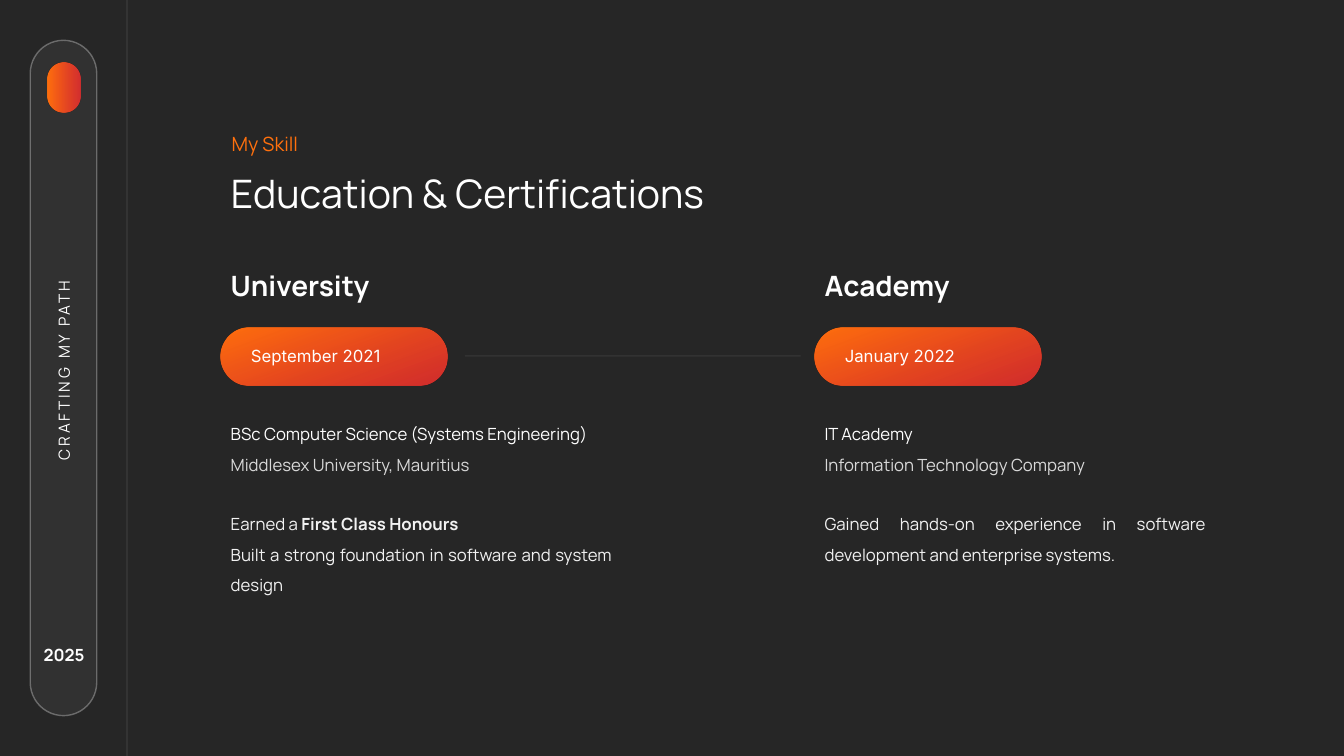
from dataclasses import dataclass

from lxml import etree
from pptx import Presentation
from pptx.dml.color import RGBColor
from pptx.enum.shapes import MSO_CONNECTOR, MSO_SHAPE
from pptx.enum.text import MSO_ANCHOR, MSO_AUTO_SIZE, PP_ALIGN
from pptx.oxml.ns import qn
from pptx.shapes.autoshape import Shape
from pptx.slide import Slide
from pptx.util import Inches, Pt


@dataclass(frozen=True)
class Theme:
    background: str = "262626"
    white: str = "FFFFFF"
    soft: str = "F2F2F2"
    muted: str = "D9D9D9"
    orange: str = "FF700D"
    red: str = "FE2F2E"
    red_opacity: int = 79
    font: str = "Manrope"
    date_font: str = "Inter"
    title_size: int = 28
    heading_size: int = 20
    kicker_size: int = 14
    body_size: int = 12
    motto_size: int = 11


THEME = Theme()


@dataclass(frozen=True)
class Box:
    left: float
    top: float
    width: float
    height: float


@dataclass(frozen=True)
class Style:
    size: int = THEME.body_size
    color: str = THEME.white
    font: str = THEME.font
    bold: bool = False
    align: PP_ALIGN = PP_ALIGN.LEFT
    spacing: float = 1.0
    wrap: bool = True


@dataclass(frozen=True)
class Span:
    text: str
    bold: bool = False


@dataclass(frozen=True)
class Milestone:
    left: float
    heading: str
    date: str
    award: str
    place: str
    details: tuple[tuple[Span, ...], ...]
    details_height: float


KICKER = Style(size=THEME.kicker_size, color=THEME.orange)
TITLE = Style(size=THEME.title_size)
HEADING = Style(size=THEME.heading_size, bold=True)
DATE = Style(font=THEME.date_font)
AWARD = Style(spacing=1.5)
PLACE = Style(color=THEME.muted)
DETAILS = Style(color=THEME.soft, align=PP_ALIGN.JUSTIFY, spacing=1.5)
YEAR = Style(bold=True, align=PP_ALIGN.CENTER, wrap=False)
MOTTO = Style(size=THEME.motto_size, align=PP_ALIGN.CENTER, wrap=False)

MILESTONES = (
    Milestone(
        2.19, "University", "September 2021",
        "BSc Computer Science (Systems Engineering)",
        "Middlesex University, Mauritius",
        (
            (Span("Earned a "), Span("First Class Honours", bold=True)),
            (Span("Built a strong foundation in software and system design"),),
        ),
        0.98,
    ),
    Milestone(
        8.08, "Academy", "January 2022",
        "IT Academy",
        "Information Technology Company",
        ((Span("Gained hands-on experience in software development "
               "and enterprise systems."),),),
        0.68,
    ),
)


def emu(box: Box) -> tuple[int, int, int, int]:
    return (Inches(box.left), Inches(box.top),
            Inches(box.width), Inches(box.height))


def set_opacity(color_element: etree._Element, percent: int) -> None:
    alpha = etree.SubElement(color_element, qn("a:alpha"))
    alpha.set("val", str(percent * 1000))


def write(shape: Shape, paragraphs: tuple[tuple[Span, ...], ...],
          style: Style) -> None:
    frame = shape.text_frame
    frame.word_wrap = style.wrap
    frame.auto_size = MSO_AUTO_SIZE.SHAPE_TO_FIT_TEXT
    frame.vertical_anchor = MSO_ANCHOR.TOP
    for index, spans in enumerate(paragraphs):
        paragraph = frame.add_paragraph() if index else frame.paragraphs[0]
        paragraph.alignment = style.align
        paragraph.line_spacing = style.spacing
        paragraph.font.name = style.font
        paragraph.font.size = Pt(style.size)
        paragraph.font.bold = style.bold
        paragraph.font.color.rgb = RGBColor.from_string(style.color)
        for span in spans:
            run = paragraph.add_run()
            run.text = span.text
            if span.bold:
                run.font.bold = True


def add_label(slide: Slide, box: Box, text: str, style: Style) -> Shape:
    label = slide.shapes.add_textbox(*emu(box))
    write(label, ((Span(text),),), style)
    return label


def add_pill(slide: Slide, box: Box) -> Shape:
    pill = slide.shapes.add_shape(MSO_SHAPE.ROUNDED_RECTANGLE, *emu(box))
    pill.adjustments[0] = 0.5
    pill.shadow.inherit = False
    pill.line.fill.background()
    return pill


def fill_gradient(shape: Shape, angle: float) -> None:
    shape.fill.gradient()
    shape.fill.gradient_angle = angle
    start, end = shape.fill.gradient_stops
    start.position, end.position = 0, 0.98
    start.color.rgb = RGBColor.from_string(THEME.orange)
    end.color.rgb = RGBColor.from_string(THEME.red)
    end_color = shape._element.spPr.findall(".//" + qn("a:srgbClr"))[-1]
    set_opacity(end_color, THEME.red_opacity)


def format_line(shape, color: str, opacity: int) -> None:
    shape.line.width = Pt(1)
    shape.line.color.rgb = RGBColor.from_string(color)
    line_color = shape._element.spPr.find(qn("a:ln")).find(
        ".//" + qn("a:srgbClr"))
    set_opacity(line_color, opacity)


def add_rule(slide: Slide, start: tuple[float, float],
             end: tuple[float, float], color: str, opacity: int) -> None:
    rule = slide.shapes.add_connector(
        MSO_CONNECTOR.STRAIGHT, *(Inches(value) for value in start + end))
    format_line(rule, color, opacity)
    etree.SubElement(rule._element.spPr, qn("a:effectLst"))


def add_milestone(slide: Slide, item: Milestone) -> None:
    left = item.left
    fill_gradient(add_pill(slide, Box(left, 3.25, 2.25, 0.57)), 290)
    add_label(slide, Box(left + 0.2, 3.38, 1.85, 0.3), item.date, DATE)
    add_label(slide, Box(left, 2.61, 2.25, 0.44), item.heading, HEADING)
    add_label(slide, Box(left, 4.05, 4.32, 0.38), item.award, AWARD)
    add_label(slide, Box(left, 4.46, 3.62, 0.3), item.place, PLACE)
    details = slide.shapes.add_textbox(
        *emu(Box(left, 4.95, 3.98, item.details_height)))
    write(details, item.details, DETAILS)


def add_sidebar(slide: Slide) -> None:
    add_rule(slide, (1.26, 0), (1.26, 7.5), THEME.soft, 10)
    panel = add_pill(slide, Box(0.3, 0.4, 0.66, 6.7))
    panel.fill.solid()
    panel.fill.fore_color.rgb = RGBColor.from_string(THEME.white)
    set_opacity(panel._element.spPr.find(".//" + qn("a:srgbClr")), 5)
    format_line(panel, THEME.white, 30)
    add_label(slide, Box(0.33, 6.35, 0.61, 0.3), "2025", YEAR)
    motto = add_label(slide, Box(-0.39, 3.53, 2.05, 0.29),
                      "CRAFTING MY PATH", MOTTO)
    motto.rotation = 270
    motto_run = motto.text_frame.paragraphs[0].runs[0]
    motto_run._r.get_or_add_rPr().set("spc", "200")
    fill_gradient(add_pill(slide, Box(0.47, 0.62, 0.33, 0.5)), 0)


def main() -> None:
    deck = Presentation()
    deck.slide_width, deck.slide_height = Inches(13.33), Inches(7.5)
    slide = deck.slides.add_slide(deck.slide_layouts[5])
    slide.background.fill.solid()
    slide.background.fill.fore_color.rgb = RGBColor.from_string(
        THEME.background)
    title = slide.shapes.title
    title.left, title.top, title.width, title.height = emu(
        Box(2.19, 1.63, 5.6, 0.57))
    write(title, ((Span("Education & Certifications"),),), TITLE)
    add_label(slide, Box(2.2, 1.26, 2.75, 0.34), "My Skill", KICKER)
    add_rule(slide, (4.61, 3.53), (7.94, 3.53), THEME.white, 5)
    for item in MILESTONES:
        add_milestone(slide, item)
    add_sidebar(slide)
    deck.save("out.pptx")


if __name__ == "__main__":
    main()
